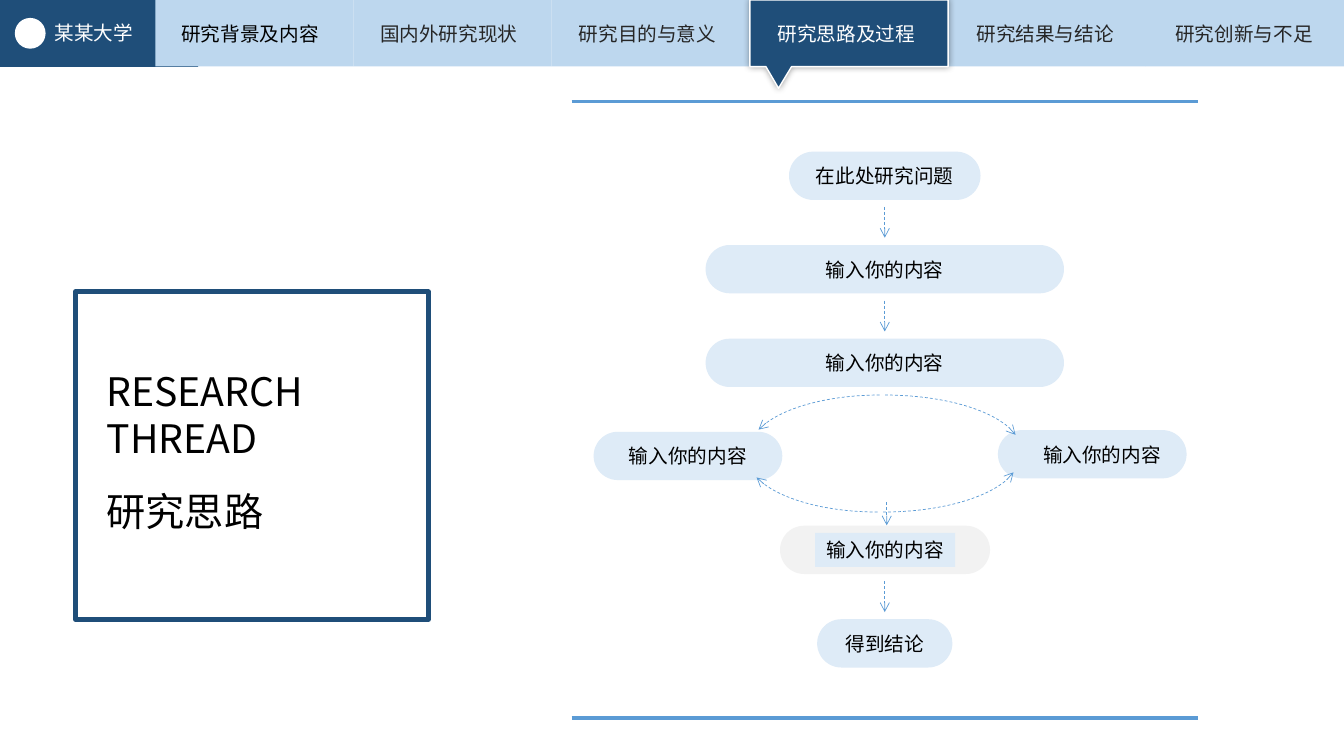
from dataclasses import dataclass
from lxml.etree import SubElement
from pptx import Presentation
from pptx.dml.color import RGBColor as RGB
from pptx.enum.dml import MSO_LINE as Dash
from pptx.enum.shapes import MSO_CONNECTOR as Link, MSO_SHAPE as Kind
from pptx.enum.text import MSO_ANCHOR as Anchor, MSO_AUTO_SIZE as Fit, PP_ALIGN as Align
from pptx.oxml.ns import qn
from pptx.util import Pt


@dataclass(frozen=True)
class Theme:
    font: str = "Noto Sans CJK SC"
    navy: str = "1F4E79"
    tab: str = "BDD7EE"
    pale: str = "DEEBF7"
    grey: str = "F2F2F2"
    blue: str = "5B9BD5"
    white: str = "FFFFFF"
    black: str = "000000"
    dark: str = "262626"
    body: int = 14
    head: int = 28
    thin: float = 0.5
    rule: float = 2.5
    frame: float = 3.5


T = Theme()
TABS = ["研究背景及内容", "国内外研究现状", "研究目的与意义",
        "研究思路及过程", "研究结果与结论", "研究创新与不足"]
ACTIVE = 3
TAB_X, TAB_W, TAB_H = 111, 141.5, 47.5
PILL_H = 34.5
MID = 632


def write(frame, lines, color, size=T.body, align=Align.LEFT):
    frame.word_wrap = False
    for i, line in enumerate(lines):
        para = frame.paragraphs[0] if i == 0 else frame.add_paragraph()
        para.alignment = align
        run = para.add_run()
        run.text = line
        run.font.size = Pt(size)
        run.font.color.rgb = RGB.from_string(color)
        run.font.name = T.font
        SubElement(run.font._element, qn("a:ea"), typeface=T.font)


def label(slide, x, y, w, h, lines, color, size=T.body):
    box = slide.shapes.add_textbox(Pt(x), Pt(y), Pt(w), Pt(h))
    write(box.text_frame, lines, color, size)
    box.text_frame.auto_size = Fit.SHAPE_TO_FIT_TEXT


def stroke(line, color, width, arrow=False):
    line.color.rgb = RGB.from_string(color)
    line.width = Pt(width)
    if arrow:
        line.dash_style = Dash.DASH
        SubElement(line._get_or_add_ln(), qn("a:tailEnd"), type="arrow")


def block(slide, kind, x, y, w, h, fill=None):
    shape = slide.shapes.add_shape(kind, Pt(x), Pt(y), Pt(w), Pt(h))
    shape.shadow.inherit = False
    shape.line.fill.background()
    if fill:
        shape.fill.solid()
        shape.fill.fore_color.rgb = RGB.from_string(fill)
    else:
        shape.fill.background()
    return shape


def center(shape, text, shift=0):
    frame = shape.text_frame
    frame.margin_left, frame.margin_right = Pt(7 + 2 * shift), Pt(7)
    frame.vertical_anchor = Anchor.MIDDLE
    write(frame, [text], T.black, align=Align.CENTER)


def pill(slide, x, y, w, fill=T.pale):
    shape = block(slide, Kind.ROUNDED_RECTANGLE, x, y, w, PILL_H, fill)
    shape.adjustments[0] = 0.5
    return shape


def link(slide, x1, y1, x2, y2, width, arrow=False):
    line = slide.shapes.add_connector(Link.STRAIGHT, Pt(x1), Pt(y1), Pt(x2), Pt(y2))
    stroke(line.line, T.blue, width, arrow)
    SubElement(line._element.spPr, qn("a:effectLst"))


def arc(slide, x, y, w, end, flips):
    shape = block(slide, Kind.ARC, x, y, w, 79.2)
    shape.adjustments[0] = 162
    shape.adjustments[1] = end
    stroke(shape.line, T.blue, T.thin, True)
    for flip in flips:
        shape._element.spPr.find(qn("a:xfrm")).set(flip, "1")


def active(slide):
    x = 535.6
    points = [(x + 141.6, 0), (x + 141.6, 47.6), (x + 29.8, 47.6),
              (x + 20.5, 63), (x + 11.5, 47.6), (x, 47.6)]
    pen = slide.shapes.build_freeform(Pt(x), 0)
    pen.add_line_segments([(Pt(a), Pt(b)) for a, b in points])
    shape = pen.convert_to_shape()
    shape.fill.solid()
    shape.fill.fore_color.rgb = RGB.from_string(T.navy)
    stroke(shape.line, T.white, 1)
    shape.shadow.inherit = False
    glow = SubElement(shape._element.spPr.find(qn("a:effectLst")), qn("a:outerShdw"),
                      blurRad=str(Pt(5)), dist="0", dir="0", rotWithShape="0")
    tint = SubElement(glow, qn("a:srgbClr"), val=T.black)
    SubElement(tint, qn("a:alpha"), val="40000")


def header(slide):
    block(slide, Kind.RECTANGLE, 0, 0, 141.5, 47.8, T.navy)
    for i in range(len(TABS)):
        block(slide, Kind.RECTANGLE, TAB_X + i * TAB_W, 0, TAB_W, TAB_H, T.tab)
    active(slide)
    for i, name in enumerate(TABS):
        color = T.white if i == ACTIVE else T.black if i == 0 else T.dark
        label(slide, 122.4 + i * 142, 12, 113.5, 24.2, [name], color)
    block(slide, Kind.OVAL, 10.6, 12.8, 22, 22, T.white)
    label(slide, 31.8, 11.6, 71, 24.2, ["某某大学"], T.white)


def title(slide):
    label(slide, 69.1, 344.9, 127.4, 41, ["研究思路"], T.black, T.head)
    label(slide, 69.1, 258.5, 159, 75, ["RESEARCH", "THREAD"], T.black, T.head)
    frame = block(slide, Kind.RECTANGLE, 54, 208.4, 252, 234)
    stroke(frame.line, T.navy, T.frame)


def flow(slide):
    entry = "输入你的内容"
    steps = [("在此处研究问题", 108.3, 136.8), (entry, 175, 256),
             (entry, 241.9, 256), ("得到结论", 442.3, 96.6)]
    for text, y, w in steps:
        center(pill(slide, MID - w / 2, y, w), text)
    center(pill(slide, 424, 308.4, 134.8), entry)
    center(pill(slide, 712.8, 307.2, 134.8), entry, shift=7)
    pill(slide, 557.2, 375.5, 150, T.grey)
    center(block(slide, Kind.RECTANGLE, 582.2, 380.7, 100, 24.2, T.pale), entry)

    for y in (72.5, 512.8):
        link(slide, 408.3, y, 855.5, y, T.rule)
    for x, top, end in [(MID, 147.8, 169.8), (MID, 214.8, 236.8),
                        (MID, 415.2, 437.2), (633.4, 358.6, 375.2)]:
        link(slide, x, top, x, end, T.thin, True)

    for x, y, flips in [(535, 282.2, []), (533.6, 286.6, ["flipV"])]:
        arc(slide, x, y, 194.4, 211.89, flips)
        arc(slide, x, y, 186.5, 210.14, flips + ["flipH"])


def main():
    deck = Presentation()
    deck.slide_width, deck.slide_height = Pt(960), Pt(540)
    slide = deck.slides.add_slide(deck.slide_layouts[6])
    header(slide)
    title(slide)
    flow(slide)
    deck.save("out.pptx")


if __name__ == "__main__":
    main()
